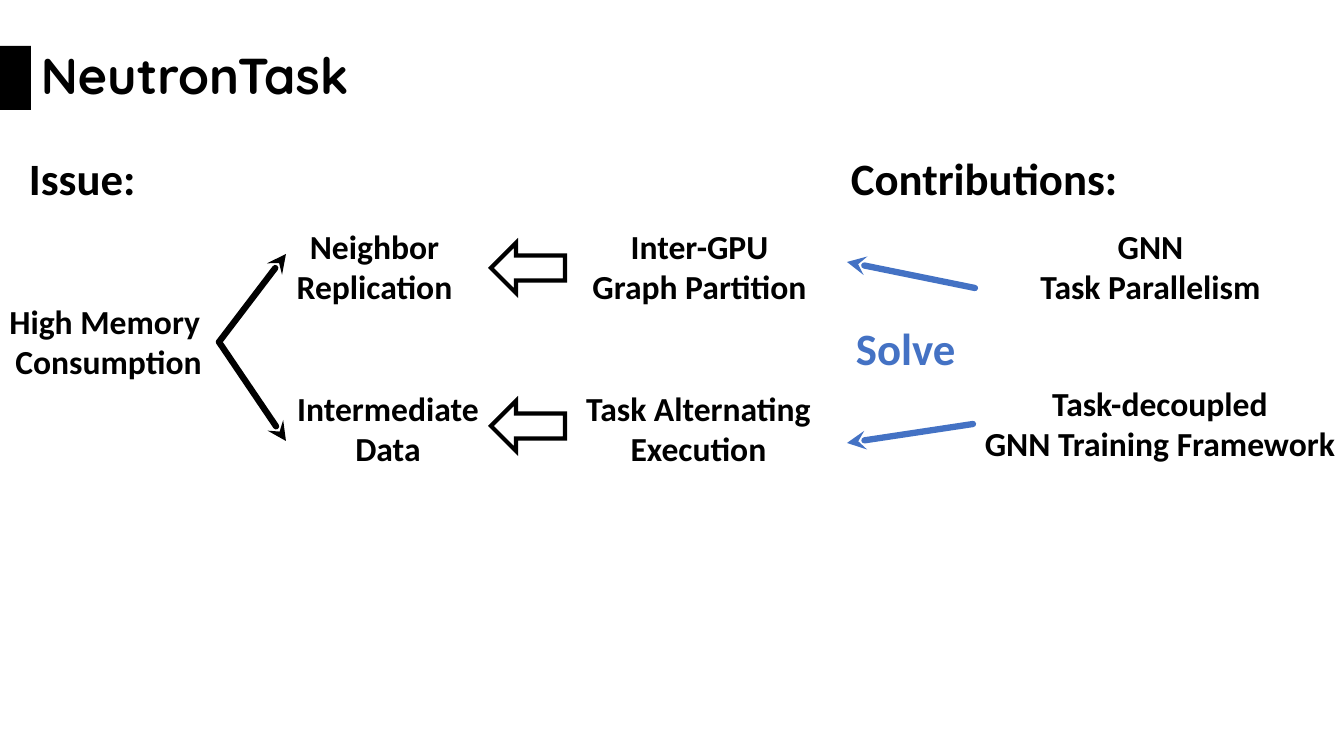
"""Build the NeutronTask slide linking memory issues to contributions."""
from dataclasses import dataclass
from lxml.etree import SubElement
from pptx import Presentation
from pptx.dml.color import RGBColor
from pptx.enum.shapes import MSO_CONNECTOR as Connector, MSO_SHAPE as Preset
from pptx.enum.text import MSO_ANCHOR as Anchor, MSO_AUTO_SIZE as AutoSize, PP_ALIGN as Align
from pptx.oxml.ns import qn
from pptx.util import Emu, Pt


@dataclass(frozen=True)
class Theme:
    black: RGBColor = RGBColor(0, 0, 0)
    blue: RGBColor = RGBColor(0x44, 0x72, 0xC4)
    title_font: str = "Quicksand"
    body_font: str = "Calibri"
    title_size: int = 36
    heading_size: int = 32
    label_size: int = 24
    arrow_width: float = 4.5
    outline_width: int = 3


THEME = Theme()
EMU_PER_PX = 914400 / 100.8
SLIDE_SIZE = (1344, 756)
TITLE = ("NeutronTask", (31, 0, 1231, 156))
TITLE_BAR = (0, 46, 31, 64)
HEADING_HEIGHT, LABEL_HEIGHT = 65, 92
HEADINGS = [
    ("Contributions:", 841, 146, 290, THEME.black),
    ("Solve", 846, 316, 122, THEME.blue),
    ("Issue:", 19, 146, 128, THEME.black),
]
LABELS = {
    "memory": (("High Memory ", "Consumption"), -2, 296, 221),
    "replication": (("Neighbor", "Replication"), 286, 221, 177),
    "partition": (("Inter-GPU", "Graph Partition"), 581, 221, 237),
    "data": (("Intermediate", "Data"), 286, 383, 204),
    "execution": (("Task Alternating", "Execution"), 575, 383, 247),
    "parallelism": (("GNN", "Task Parallelism"), 1029, 221, 243),
    "framework": (("Task-decoupled", "GNN Training Framework"), 973, 378, 374),
}
BLOCK_ARROWS = [(491, 243, 74, 50), (491, 401, 74, 50)]
ARROWS = [
    ((975, 288), (847, 262), THEME.blue, None),
    ((973, 424), (847, 443), THEME.blue, ("framework", 1)),
    ((219, 342), (286, 254), THEME.black, ("memory", 3)),
    ((219, 342), (286, 441), THEME.black, ("memory", 3)),
]


def px(*lengths):
    return [Emu(round(length * EMU_PER_PX)) for length in lengths]


def add_text(slide, lines, box, size, color=THEME.black, font=THEME.body_font, align=Align.LEFT):
    shape = slide.shapes.add_textbox(*px(*box))
    frame = shape.text_frame
    frame.word_wrap = False
    frame.auto_size = AutoSize.SHAPE_TO_FIT_TEXT
    for index, line in enumerate(lines):
        paragraph = frame.add_paragraph() if index else frame.paragraphs[0]
        paragraph.alignment = align
        run = paragraph.add_run()
        run.text = line
        run.font.name = font
        run.font.size = Pt(size)
        run.font.bold = True
        run.font.color.rgb = color
    return shape


def add_title(slide):
    text, box = TITLE
    frame = add_text(slide, [text], box, THEME.title_size, font=THEME.title_font).text_frame
    frame.word_wrap = True
    frame.auto_size = AutoSize.NONE
    frame.vertical_anchor = Anchor.MIDDLE
    frame.paragraphs[0].line_spacing = 0.9
    bar = slide.shapes.add_shape(Preset.RECTANGLE, *px(*TITLE_BAR))
    bar.shadow.inherit = False
    bar.fill.solid()
    bar.fill.fore_color.rgb = THEME.black
    bar.line.fill.background()


def add_block_arrow(slide, box):
    arrow = slide.shapes.add_shape(Preset.LEFT_ARROW, *px(*box))
    arrow.shadow.inherit = False
    arrow.fill.background()
    arrow.line.color.rgb = THEME.black
    arrow.line.width = Pt(THEME.outline_width)
    SubElement(arrow.line._get_or_add_ln(), qn("a:miter"), lim="800000")


def add_arrow(slide, start, end, color, joint, labels):
    arrow = slide.shapes.add_connector(Connector.STRAIGHT, *px(*start, *end))
    if joint:
        name, side = joint
        arrow.begin_connect(labels[name], side)
    arrow.line.color.rgb = color
    arrow.line.width = Pt(THEME.arrow_width)
    line = arrow.line._get_or_add_ln()
    line.set("cap", "rnd")
    SubElement(line, qn("a:round"))
    SubElement(line, qn("a:tailEnd"), type="stealth")
    SubElement(arrow._element.spPr, qn("a:effectLst"))


def main():
    presentation = Presentation()
    presentation.slide_width, presentation.slide_height = px(*SLIDE_SIZE)
    slide = presentation.slides.add_slide(presentation.slide_layouts[6])
    add_title(slide)
    for text, left, top, width, color in HEADINGS:
        add_text(slide, [text], (left, top, width, HEADING_HEIGHT), THEME.heading_size, color)
    labels = {
        name: add_text(slide, lines, (left, top, width, LABEL_HEIGHT),
                       THEME.label_size, align=Align.CENTER)
        for name, (lines, left, top, width) in LABELS.items()
    }
    for box in BLOCK_ARROWS:
        add_block_arrow(slide, box)
    for arrow in ARROWS:
        add_arrow(slide, *arrow, labels)
    presentation.save("out.pptx")


if __name__ == "__main__":
    main()
